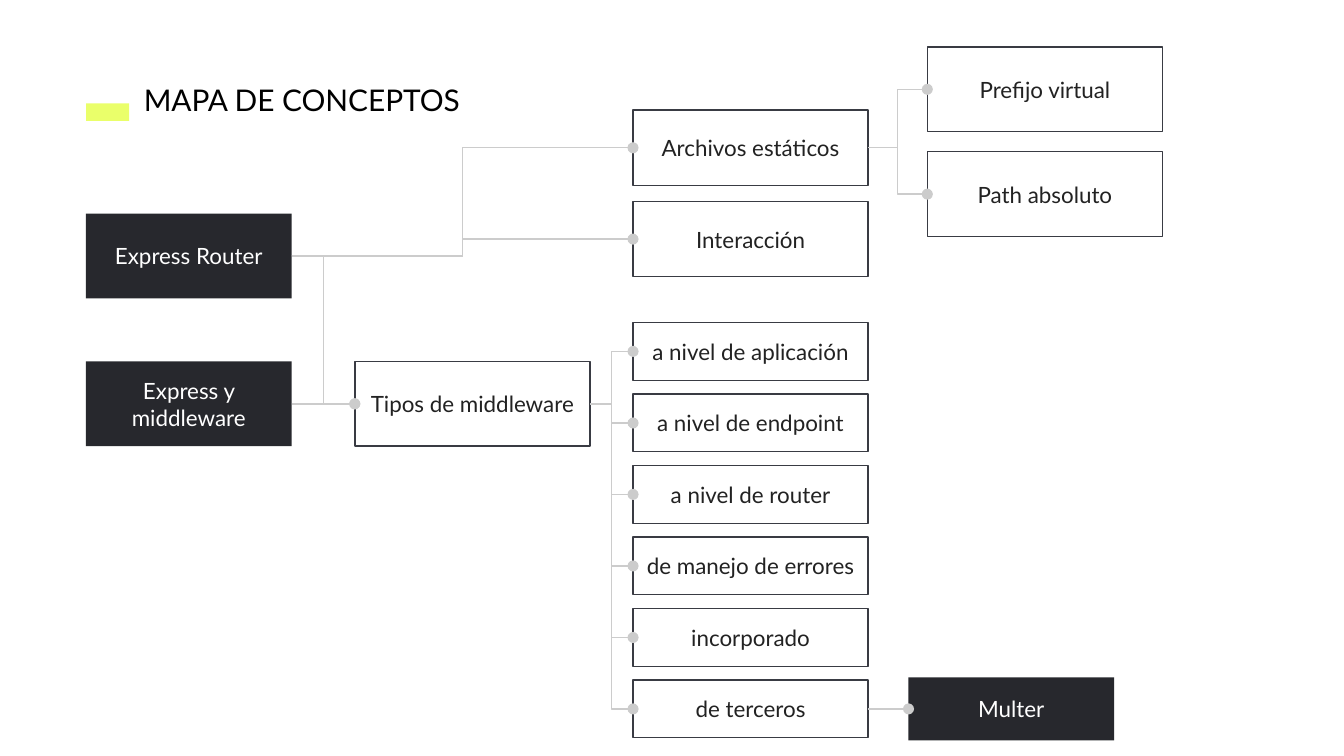
from dataclasses import dataclass

from lxml import etree
from pptx import Presentation
from pptx.dml.color import RGBColor
from pptx.enum.shapes import MSO_CONNECTOR, MSO_SHAPE
from pptx.enum.text import MSO_ANCHOR, MSO_AUTO_SIZE, PP_ALIGN
from pptx.oxml.ns import qn
from pptx.shapes.autoshape import Shape
from pptx.slide import Slide
from pptx.text.text import TextFrame
from pptx.util import Inches, Pt

RECT = MSO_SHAPE.RECTANGLE
ELBOW, STRAIGHT = MSO_CONNECTOR.ELBOW, MSO_CONNECTOR.STRAIGHT
TOP, MIDDLE = MSO_ANCHOR.TOP, MSO_ANCHOR.MIDDLE
LEFT, CENTER = PP_ALIGN.LEFT, PP_ALIGN.CENTER
GROW = MSO_AUTO_SIZE.SHAPE_TO_FIT_TEXT

FONT = "Lato"
COLORS = {
    "accent": "EAFF6A",
    "dark": "27282D",
    "outline": "393B43",
    "link": "CCCCCC",
    "text": "222222",
    "title": "000000",
    "white": "FFFFFF",
}
LEFT_SITE, RIGHT_SITE = 1, 3
DARK_W, LIGHT_W = 1.53, 1.75
ROOT_X, TYPES_X, BRANCH_X, DETAIL_X = 0.64, 2.64, 4.71, 6.9
LEVEL_TOP, LEVEL_BOTTOM, LEVEL_H = 2.4, 5.06, 0.43


@dataclass(frozen=True)
class Concept:
    text: str
    x: float
    y: float
    h: float
    dark: bool = False


@dataclass(frozen=True)
class Link:
    source: str
    target: str
    kind: int = ELBOW


LEVELS = [
    "a nivel de aplicación",
    "a nivel de endpoint",
    "a nivel de router",
    "de manejo de errores",
    "incorporado",
    "de terceros",
]
LEVEL_STEP = (LEVEL_BOTTOM - LEVEL_TOP) / (len(LEVELS) - 1)

CONCEPTS = [
    Concept("Express Router", ROOT_X, 1.59, 0.63, dark=True),
    Concept("Express y middleware", ROOT_X, 2.69, 0.63, dark=True),
    Concept("Tipos de middleware", TYPES_X, 2.69, 0.63),
    Concept("Archivos estáticos", BRANCH_X, 0.82, 0.56),
    Concept("Interacción", BRANCH_X, 1.5, 0.56),
    Concept("Prefijo virtual", DETAIL_X, 0.35, 0.63),
    Concept("Path absoluto", DETAIL_X, 1.13, 0.63),
    *(Concept(level, BRANCH_X, LEVEL_TOP + i * LEVEL_STEP, LEVEL_H)
      for i, level in enumerate(LEVELS)),
    Concept("Multer", 6.76, 5.04, 0.47, dark=True),
]

LINKS = [
    Link("Express Router", "Archivos estáticos"),
    Link("Express Router", "Interacción"),
    Link("Express Router", "Tipos de middleware"),
    Link("Express y middleware", "Tipos de middleware", STRAIGHT),
    Link("Archivos estáticos", "Prefijo virtual"),
    Link("Archivos estáticos", "Path absoluto"),
    *(Link("Tipos de middleware", level) for level in LEVELS),
    Link("de terceros", "Multer", STRAIGHT),
]


def rgb(name: str) -> RGBColor:
    return RGBColor.from_string(COLORS[name])


def write_text(tf: TextFrame, text: str, size: float, color: str,
               align: PP_ALIGN, anchor: MSO_ANCHOR) -> None:
    tf.word_wrap = True
    tf.vertical_anchor = anchor
    tf.margin_left = tf.margin_right = Inches(0.1)
    tf.margin_top = tf.margin_bottom = Inches(0.1)
    p = tf.paragraphs[0]
    p.alignment = align
    r = p.add_run()
    r.text = text
    r.font.name = FONT
    r.font.size = Pt(size)
    r.font.color.rgb = rgb(color)


def add_title(s: Slide, text: str) -> None:
    title = s.shapes.title
    title.left, title.top = Inches(0.97), Inches(0.51)
    title.width, title.height = Inches(2.69), Inches(0.47)
    write_text(title.text_frame, text, 16, "title", LEFT, TOP)
    title.text_frame.auto_size = GROW


def add_rect(s: Slide, x: float, y: float, w: float, h: float) -> Shape:
    sp = s.shapes.add_shape(RECT, Inches(x), Inches(y), Inches(w), Inches(h))
    sp.shadow.inherit = False
    return sp


def fill_solid(sp: Shape, color: str) -> None:
    sp.fill.solid()
    sp.fill.fore_color.rgb = rgb(color)
    sp.line.fill.background()


def add_concept(s: Slide, concept: Concept) -> Shape:
    width = DARK_W if concept.dark else LIGHT_W
    sp = add_rect(s, concept.x, concept.y, width, concept.h)
    if concept.dark:
        fill_solid(sp, "dark")
    else:
        sp.fill.background()
        sp.line.color.rgb = rgb("outline")
        sp.line.width = Pt(0.75)
    color = "white" if concept.dark else "text"
    write_text(sp.text_frame, concept.text, 12, color, CENTER, MIDDLE)
    return sp


def add_link(s: Slide, source: Shape, target: Shape, kind: int) -> None:
    """Join the right side of source to the left side of target, with a dot."""
    line = s.shapes.add_connector(kind, 0, 0, 0, 0)
    line.begin_connect(source, RIGHT_SITE)
    line.end_connect(target, LEFT_SITE)
    line.line.color.rgb = rgb("link")
    line.line.width = Pt(0.75)
    sp_pr = line._element.spPr
    etree.SubElement(sp_pr.find(qn("a:ln")), qn("a:tailEnd"), type="oval")
    etree.SubElement(sp_pr, qn("a:effectLst"))


def main() -> None:
    prs = Presentation()
    prs.slide_width = Inches(10)
    prs.slide_height = prs.slide_width * 9 // 16
    s = prs.slides.add_slide(prs.slide_layouts[5])

    fill_solid(add_rect(s, ROOT_X, 0.77, 0.32, 0.13), "accent")
    add_title(s, "MAPA DE CONCEPTOS")
    boxes = {concept.text: add_concept(s, concept) for concept in CONCEPTS}
    for link in LINKS:
        add_link(s, boxes[link.source], boxes[link.target], link.kind)

    prs.save("out.pptx")


if __name__ == "__main__":
    main()
